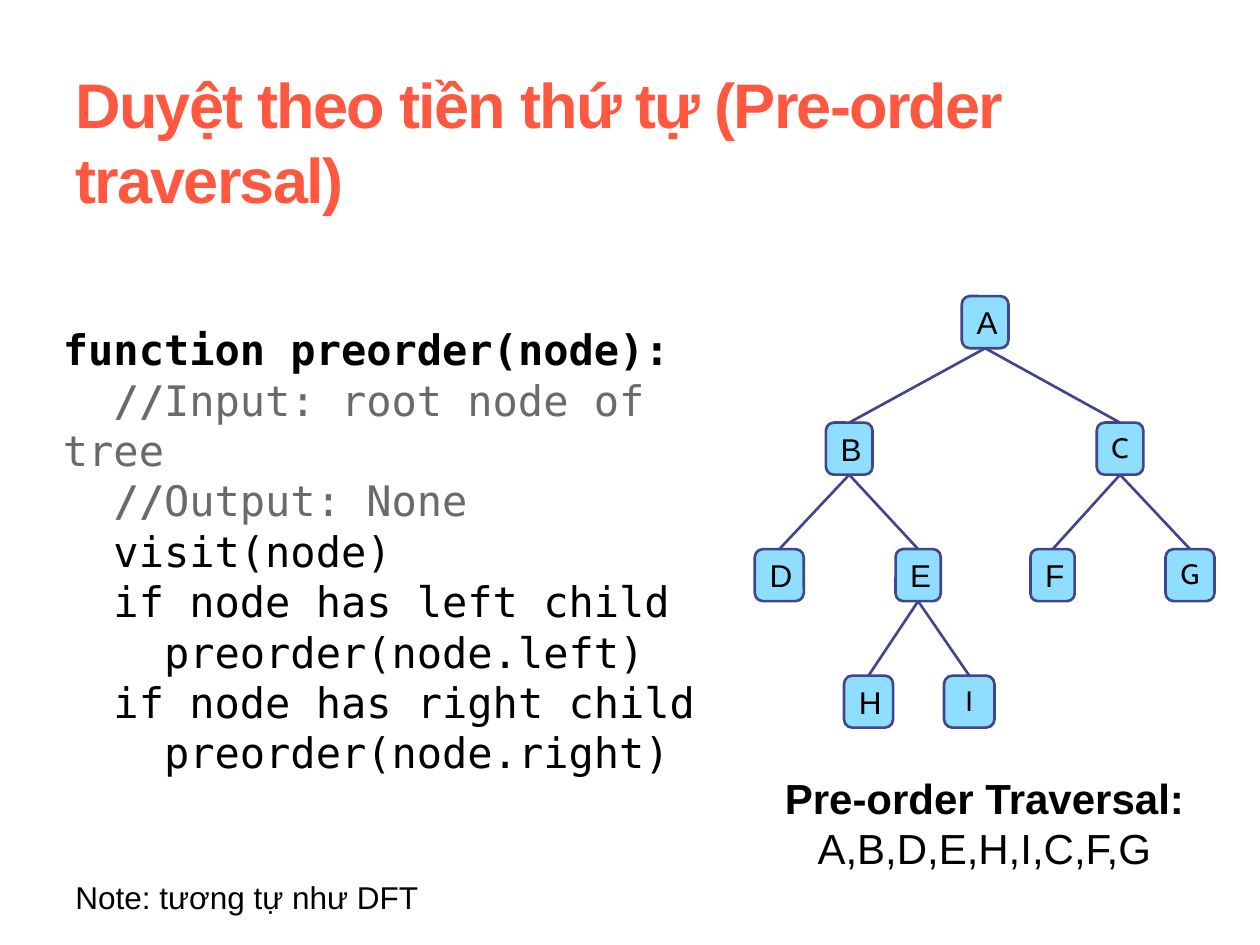
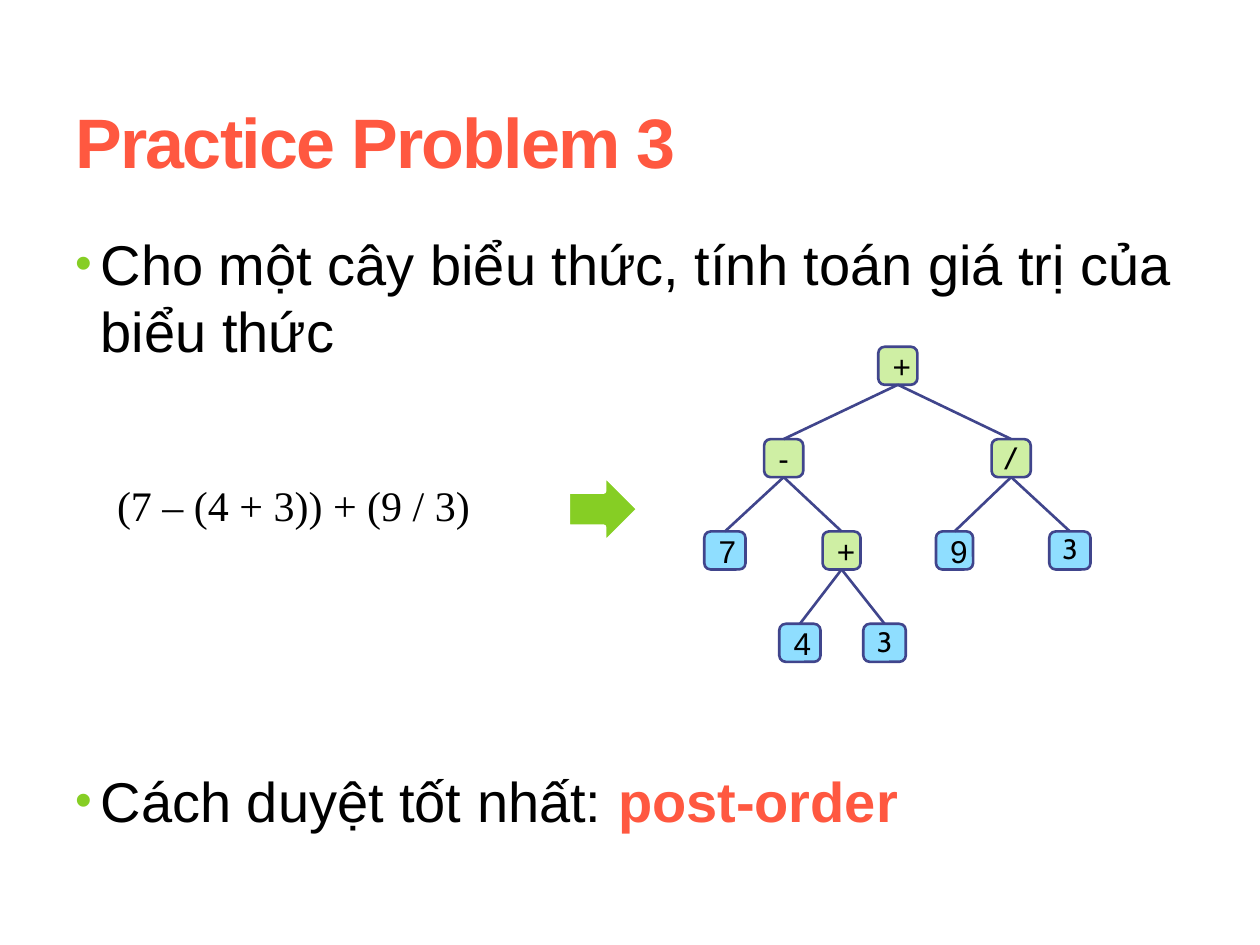
from dataclasses import dataclass
from lxml.etree import SubElement
from pptx import Presentation
from pptx.dml.color import RGBColor
from pptx.enum.shapes import MSO_CONNECTOR, MSO_SHAPE
from pptx.enum.text import MSO_ANCHOR, PP_ALIGN
from pptx.oxml.ns import qn
from pptx.util import Cm, Pt


@dataclass(frozen=True)
class Theme:
    red: str = "FF5840"
    green: str = "86CE24"
    lime: str = "CFEFA4"
    sky: str = "8FDEFF"
    navy: str = "40458C"
    gray: str = "6A6A6A"
    black: str = "000000"
    white: str = "FFFFFF"
    long: int = 36
    head: int = 40
    body: int = 32
    code: int = 24
    note: int = 18
    leaf: int = 16


look = Theme()


def write(frame, lines, form, props=None, color=look.black, **para):
    for key, value in (props or {}).items():
        setattr(frame, key, value)
    for num, line in enumerate(lines):
        block = frame.add_paragraph() if num else frame.paragraphs[0]
        for key, value in para.items():
            setattr(block, key, value)
        for text, extra in line:
            run = block.add_run()
            run.text = text
            style = {"color": color, **form, **extra}
            run.font.color.rgb = RGBColor.from_string(style.pop("color"))
            for key, value in style.items():
                setattr(run.font, key, value)
    return frame


def tree(slide, names, root, scale):
    spots = {}
    for name, (key, boss, shift, row, width) in zip(names, nodes):
        mid = root[0] + shift * scale[0]
        top = root[1] + row * 2.55 * scale[1]
        wide, high = width * scale[0], 1.05 * scale[1]
        spots[key] = mid, top + high
        box = slide.shapes.add_shape(MSO_SHAPE.ROUNDED_RECTANGLE, Cm(mid - wide / 2),
                                     Cm(top), Cm(wide), Cm(high))
        box.adjustments[0] = 0.17
        box.shadow.inherit = False
        box.fill.solid()
        box.fill.fore_color.rgb = RGBColor.from_string(look.lime if name in "+-/" else look.sky)
        box.line.color.rgb = RGBColor.from_string(look.navy)
        box.line.width = Pt(1.5)
        if key in "CGI":
            write(box.text_frame, [[(name, {})]], {"name": "Cabin", "size": Pt(look.leaf)},
                  {"word_wrap": False, "vertical_anchor": MSO_ANCHOR.MIDDLE,
                   "margin_left": 0, "margin_right": 0},
                  alignment=PP_ALIGN.CENTER, line_spacing=0.93)
        else:
            write(box.text_frame, [[(name, {})]], {"name": "Arial", "size": Pt(look.note)},
                  {"word_wrap": False, "vertical_anchor": MSO_ANCHOR.MIDDLE},
                  alignment=PP_ALIGN.LEFT)
        if boss:
            start = spots[boss]
            link = slide.shapes.add_connector(MSO_CONNECTOR.STRAIGHT, Cm(start[0]), Cm(start[1]),
                                              Cm(mid), Cm(top))
            link.line.color.rgb = RGBColor.from_string(look.navy)
            link.line.width = Pt(1.5)
            SubElement(link._element.spPr, qn("a:effectLst"))


nodes = [
    ("A", None, 0, 0, 0.94),
    ("B", "A", -2.74, 1, 0.94),
    ("C", "A", 2.72, 1, 0.94),
    ("D", "B", -4.15, 2, 0.99),
    ("E", "B", -1.35, 2, 0.91),
    ("F", "C", 1.36, 2, 0.89),
    ("G", "C", 4.13, 2, 0.99),
    ("H", "E", -2.35, 3, 0.99),
    ("I", "E", -0.32, 3, 1.02),
]
arial = {"name": "Arial"}
wrap = {"word_wrap": True}

deck = Presentation()
deck.slide_width, deck.slide_height = Cm(25.4), Cm(19.05)
slides = []
for title, size in [("Duyệt theo tiền thứ tự (Pre-order traversal)", look.long),
                    ("Practice Problem 3", look.head)]:
    slide = deck.slides.add_slide(deck.slide_layouts[6])
    box = slide.shapes.add_textbox(Cm(1.27), Cm(1.47), Cm(22.86), Cm(2.74))
    write(box.text_frame, [[(title, {})]], {**arial, "size": Pt(size), "bold": True},
          {**wrap, "vertical_anchor": MSO_ANCHOR.MIDDLE}, look.red)
    box.text_frame.paragraphs[0].runs[0].font._element.set("spc", "-100")
    slides.append(slide)
first, second = slides

bold, dim = {"bold": True}, {"color": look.gray}
code = [
    [("function preorder(node):", bold)],
    [("  ", bold), ("//", {**bold, **dim}), ("Input: root node of tree", dim)],
    [("  //", {**bold, **dim}), ("Output: None", dim)],
    [("  visit(node)", {})],
    [("  if node has left child", {})],
    [("    preorder(node.left)", {})],
    [("  if node has right child", {})],
    [("    preorder(node.right)", {})],
]
box = first.shapes.add_textbox(Cm(1.02), Cm(6.4), Cm(14.1), Cm(8.46))
write(box.text_frame, code, {"name": "DejaVu Sans Mono", "size": Pt(look.code)}, wrap)
box = first.shapes.add_textbox(Cm(15.11), Cm(15.44), Cm(9.47), Cm(2.31))
write(box.text_frame, [[("Pre-order Traversal: ", bold), ("A,B,D,E,H,I,C,F,G", {})]],
      {**arial, "size": Pt(look.code)}, wrap, alignment=PP_ALIGN.CENTER)
tree(first, "ABCDEFGHI", (19.86, 5.97), (1, 1))
box = first.shapes.add_textbox(Cm(1.27), Cm(17.58), Cm(10.59), Cm(1.07))
write(box.text_frame, [[("Note: tương tự như DFT", {})]],
      {**arial, "size": Pt(look.note)}, wrap)

box = second.shapes.add_textbox(Cm(1.27), Cm(4.5), Cm(22.86), Cm(14.5))
body = write(box.text_frame, [
    [("Cho một cây biểu thức, tính toán giá trị của biểu thức", {})],
    [("Cách duyệt tốt nhất: ", {}), ("post-order", {**bold, "color": look.red})],
], {**arial, "size": Pt(look.body)}, wrap)
for block in body.paragraphs:
    prop = block._p.get_or_add_pPr()
    prop.set("marL", str(Cm(0.51)))
    prop.set("indent", str(-Cm(0.51)))
    SubElement(SubElement(prop, qn("a:buClr")), qn("a:srgbClr"), val=look.green)
    SubElement(prop, qn("a:buSzPct"), val="85000")
    SubElement(prop, qn("a:buFont"), typeface="Arial")
    SubElement(prop, qn("a:buChar"), char="•")
body.paragraphs[1].space_before = Pt(230)
tree(second, "+-/7+9343", (18.1, 6.99), (0.84, 0.73))
box = second.shapes.add_textbox(Cm(2.11), Cm(9.55), Cm(9.32), Cm(1.27))
write(box.text_frame, [[("(7 – (4 + 3)) + (9 / 3)", {})]],
      {"name": "Times New Roman", "size": Pt(look.code)}, wrap)
arrow = second.shapes.add_shape(MSO_SHAPE.RIGHT_ARROW, Cm(11.43), Cm(9.53), Cm(1.47), Cm(1.47))
arrow.shadow.inherit = False
arrow.fill.solid()
arrow.fill.fore_color.rgb = RGBColor.from_string(look.green)
arrow.line.color.rgb = RGBColor.from_string(look.white)
arrow.line.width = Pt(3.5)

deck.save("out.pptx")
